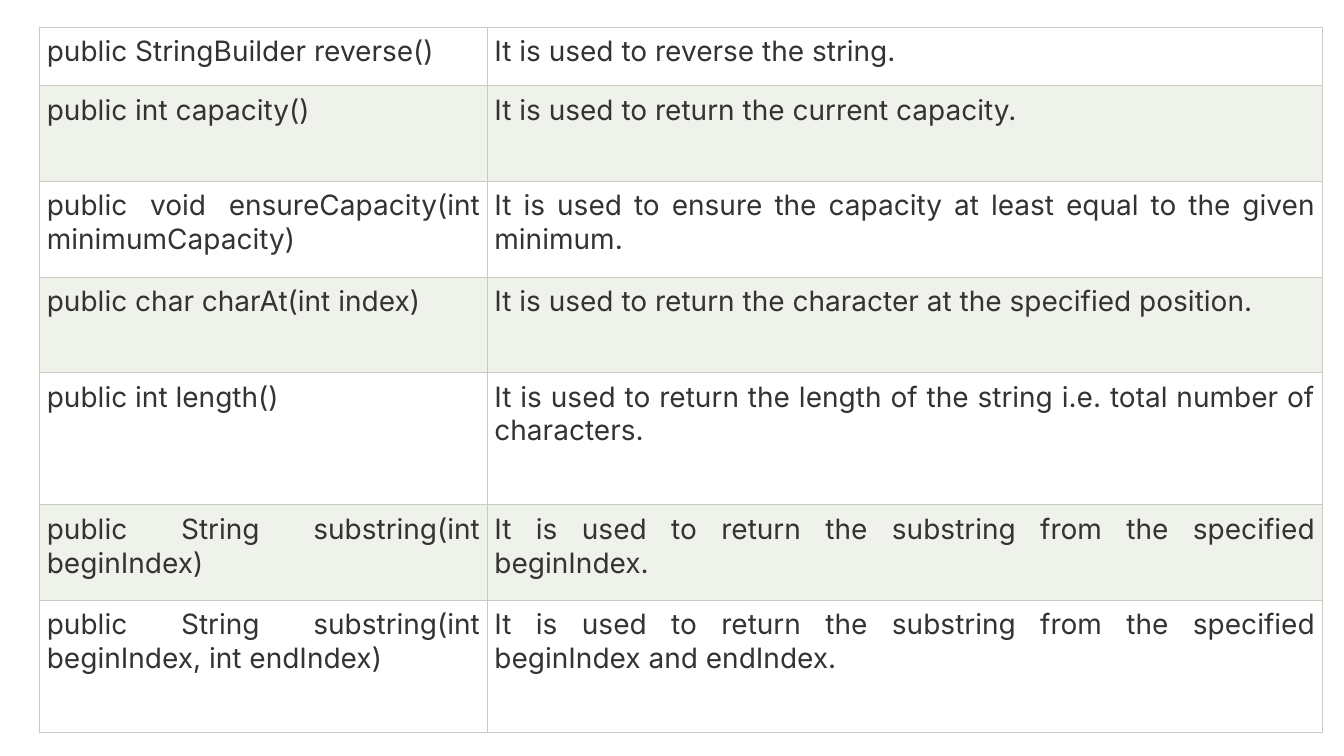
from lxml.etree import SubElement
from pptx import Presentation
from pptx.dml.color import RGBColor as Rgb
from pptx.enum.text import PP_ALIGN as Align
from pptx.oxml.ns import qn
from pptx.util import Cm, Pt

COLORS = {"text": "333333", "border": "C7CCBE", "plain": "FFFFFF", "band": "EFF1EB"}

# Method signatures and what they do
METHODS = [
    ("public StringBuilder reverse()", "It is used to reverse the string."),
    ("public int capacity()", "It is used to return the current capacity."),
    ("public void ensureCapacity(int minimumCapacity)",
     "It is used to ensure the capacity at least equal to the given minimum."),
    ("public char charAt(int index)",
     "It is used to return the character at the specified position."),
    ("public int length()",
     "It is used to return the length of the string i.e. total number of characters."),
    ("public String substring(int beginIndex)",
     "It is used to return the substring from the specified beginIndex."),
    ("public String substring(int beginIndex, int endIndex)",
     "It is used to return the substring from the specified beginIndex and endIndex."),
]
SHORT, MEDIUM, TALL = 1.47, 2.41, 3.33
ROW_HEIGHTS = [SHORT, MEDIUM, MEDIUM, MEDIUM, TALL, MEDIUM, TALL]
COLUMN_WIDTHS = [11.28, 21.05]


class SlideBuilder:
    font = "Inter"
    size = Pt(20)
    padding = Cm(0.18)
    border_width = Pt(0.75)

    def __init__(self, slide):
        self.slide = slide

    def table(self, left, top, widths, heights, content):
        frame = self.slide.shapes.add_table(
            len(heights), len(widths), Cm(left), Cm(top),
            Cm(sum(widths)), Cm(sum(heights)))
        table = frame.table
        table.first_row = False
        table.horz_banding = False
        for column, width in zip(table.columns, widths):
            column.width = Cm(width)
        for index, (row, height, texts) in enumerate(zip(table.rows, heights, content)):
            row.height = Cm(height)
            fill = COLORS["band" if index % 2 else "plain"]
            for cell, text in zip(row.cells, texts):
                self.cell(cell, text, fill)

    def cell(self, cell, text, fill):
        self.borders(cell)
        cell.fill.solid()
        cell.fill.fore_color.rgb = Rgb.from_string(fill)
        cell.margin_left = cell.margin_right = self.padding
        cell.margin_top = cell.margin_bottom = self.padding
        cell.text_frame.text = text
        paragraph = cell.text_frame.paragraphs[0]
        paragraph.alignment = Align.JUSTIFY
        font = paragraph.runs[0].font
        font.name, font.size = self.font, self.size
        font.color.rgb = Rgb.from_string(COLORS["text"])

    def borders(self, cell):
        properties = cell._tc.get_or_add_tcPr()
        for side in ("a:lnL", "a:lnR", "a:lnT", "a:lnB"):
            line = SubElement(properties, qn(side), w=str(self.border_width))
            solid = SubElement(line, qn("a:solidFill"))
            SubElement(solid, qn("a:srgbClr"), val=COLORS["border"])


def main():
    deck = Presentation()
    deck.slide_width, deck.slide_height = Cm(33.87), Cm(19.05)
    builder = SlideBuilder(deck.slides.add_slide(deck.slide_layouts[6]))

    # Method reference table
    builder.table(1, 0.69, COLUMN_WIDTHS, ROW_HEIGHTS, METHODS)

    deck.save("out.pptx")


if __name__ == "__main__":
    main()
